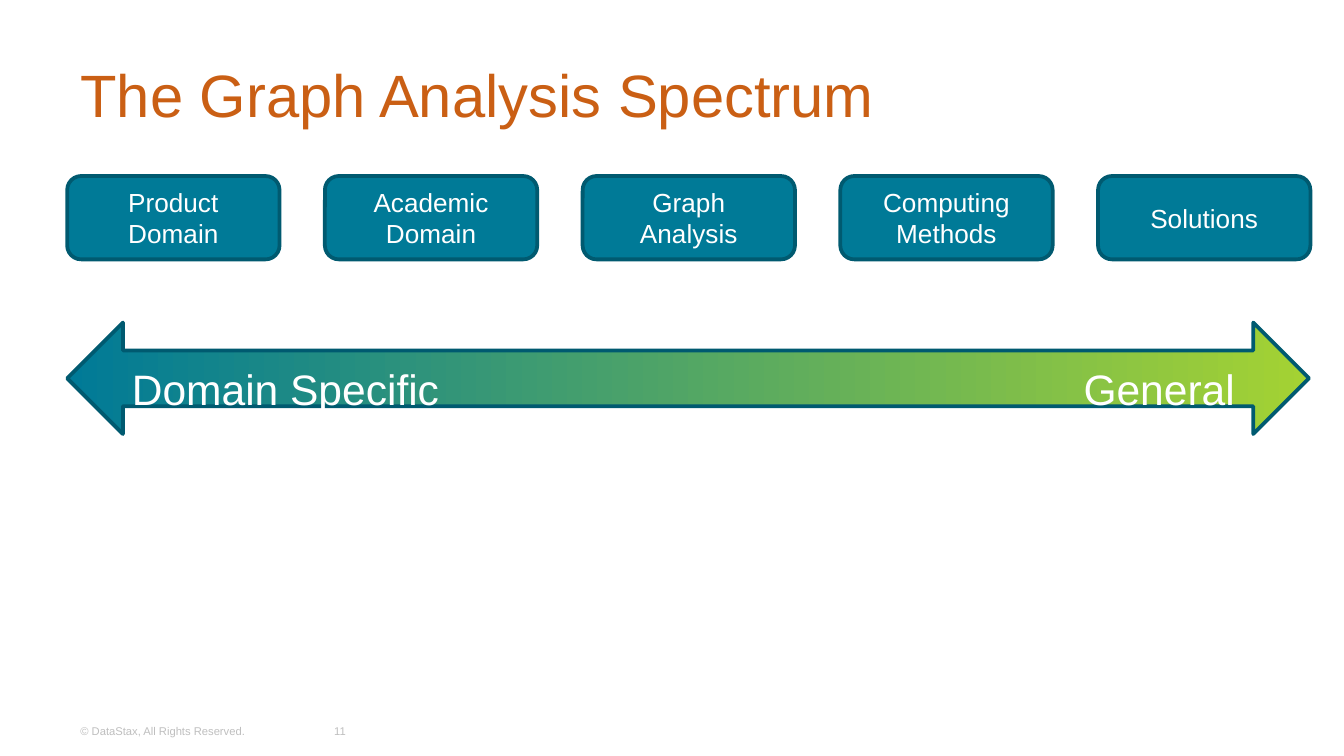
from pptx import Presentation
from pptx.dml.color import RGBColor
from pptx.enum.shapes import MSO_SHAPE
from pptx.enum.text import MSO_ANCHOR, PP_ALIGN
from pptx.util import Inches, Pt

ROUNDED, ARROW = MSO_SHAPE.ROUNDED_RECTANGLE, MSO_SHAPE.LEFT_RIGHT_ARROW
LEFT, CENTER = PP_ALIGN.LEFT, PP_ALIGN.CENTER
TOP, MIDDLE = MSO_ANCHOR.TOP, MSO_ANCHOR.MIDDLE

ORANGE = RGBColor(0xCA, 0x5F, 0x14)
TEAL = RGBColor(0x00, 0x7A, 0x97)
DARK_TEAL = RGBColor(0x00, 0x5A, 0x70)
GREEN = RGBColor(0xA4, 0xD2, 0x33)
GRAY = RGBColor(0xBF, 0xBF, 0xBF)
WHITE = RGBColor(0xFF, 0xFF, 0xFF)

# Content
TITLE = "The Graph Analysis Spectrum"
STAGES = [
    ["Product Domain"],
    ["Academic Domain"],
    ["Graph", "Analysis"],
    ["Computing", "Methods"],
    ["Solutions"],
]
# Text, left edge
SPECTRUM_ENDS = [("Domain Specific", 0.67), ("General", 7.17)]
# Text, left edge, width, alignment
FOOTER = [
    ("© DataStax, All Rights Reserved.", 0.5, 1.74, LEFT),
    ("11", 2.31, 0.44, CENTER),
]

# Stage row, in inches: equal steps from the first to the last left edge
SLIDE_WIDTH = 10
ROW_LEFT, LAST_LEFT, ROW_TOP = 0.5, 8.17, 1.31
STAGE_WIDTH, STAGE_HEIGHT = 1.58, 0.62
STAGE_PITCH = (LAST_LEFT - ROW_LEFT) / (len(STAGES) - 1)


def write_text(shape, paragraphs, *, size, color, align=LEFT, anchor=MIDDLE):
    frame = shape.text_frame
    frame.word_wrap = True
    frame.vertical_anchor = anchor
    frame.text = "\n".join(paragraphs)
    for paragraph in frame.paragraphs:
        paragraph.alignment = align
        paragraph.font.name = "Arial"
        paragraph.font.size = Pt(size)
        paragraph.font.color.rgb = color


def add_text(slide, text, left, top, width, height, **text_format):
    box = slide.shapes.add_textbox(
        Inches(left), Inches(top), Inches(width), Inches(height))
    write_text(box, [text], **text_format)


def add_outlined(slide, kind, left, top, width, height):
    shape = slide.shapes.add_shape(
        kind, Inches(left), Inches(top), Inches(width), Inches(height))
    shape.shadow.inherit = False
    shape.line.color.rgb = DARK_TEAL
    shape.line.width = Pt(2)
    return shape


def main():
    # Widescreen 16:9 slide
    presentation = Presentation()
    presentation.slide_width = Inches(SLIDE_WIDTH)
    presentation.slide_height = Inches(SLIDE_WIDTH * 9 / 16)
    slide = presentation.slides.add_slide(presentation.slide_layouts[6])

    # Title and footer
    add_text(slide, TITLE, 0.5, 0.23, 9, 0.94, size=32, color=ORANGE)
    for text, left, width, align in FOOTER:
        add_text(slide, text, left, 5.29, width, 0.3,
                 size=6, color=GRAY, align=align)

    # Row of stages
    for index, lines in enumerate(STAGES):
        stage = add_outlined(slide, ROUNDED, ROW_LEFT + index * STAGE_PITCH,
                             ROW_TOP, STAGE_WIDTH, STAGE_HEIGHT)
        stage.fill.solid()
        stage.fill.fore_color.rgb = TEAL
        write_text(stage, lines, size=14, color=WHITE, align=CENTER)

    # Spectrum arrow with its end labels
    arrow = add_outlined(slide, ARROW, ROW_LEFT, 2.4, 9.24, 0.83)
    arrow.fill.gradient()
    arrow.fill.gradient_angle = 0
    for stop, color, position in zip(
            arrow.fill.gradient_stops, (TEAL, GREEN), (0, 1)):
        stop.color.rgb = color
        stop.position = position
    for text, left in SPECTRUM_ENDS:
        add_text(slide, text, left, 2.65, 2.91, 0.41,
                 size=22.8, color=WHITE, align=CENTER, anchor=TOP)

    presentation.save("out.pptx")


if __name__ == "__main__":
    main()
